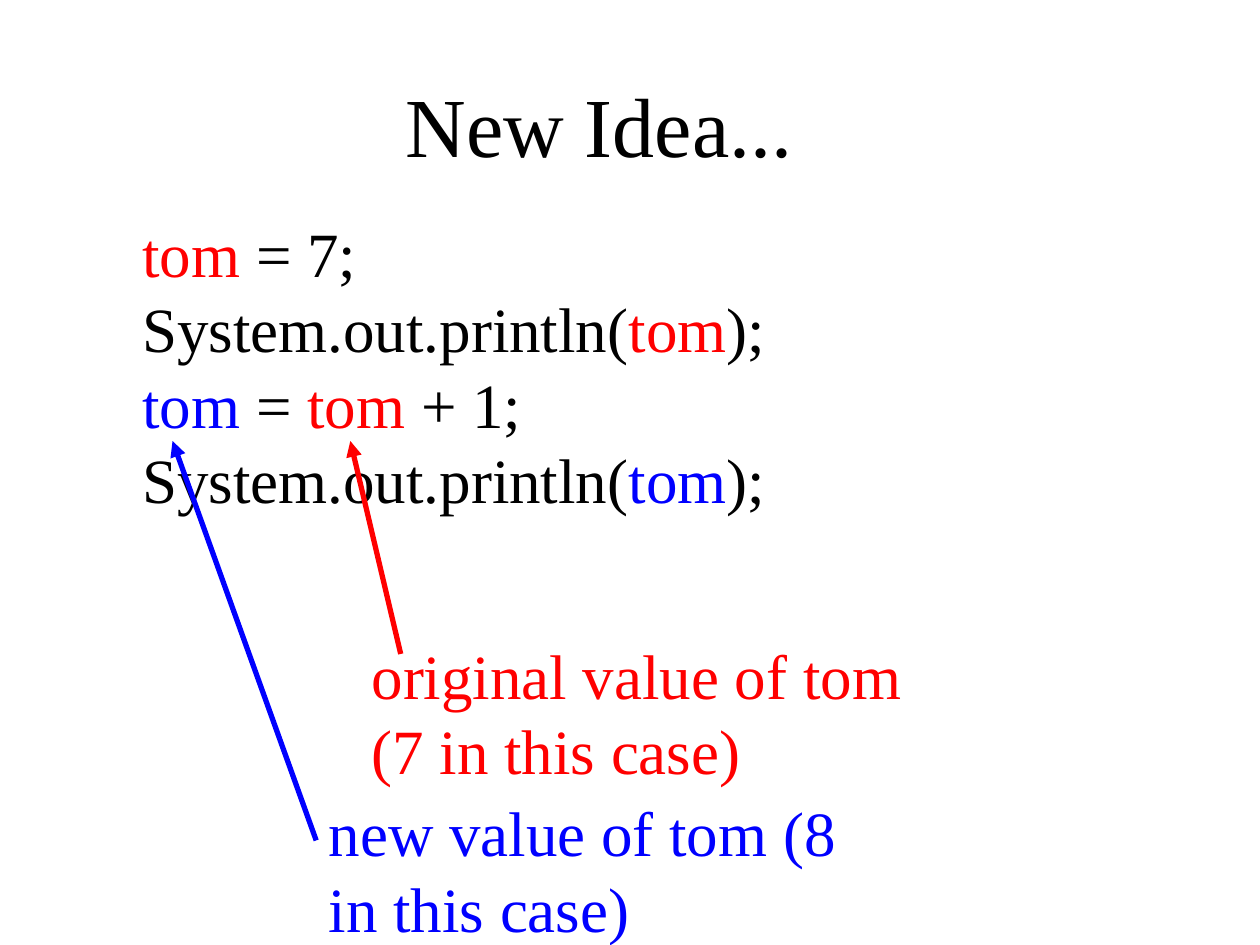
"""Build the slide on reassigning a variable from its own value."""
from dataclasses import dataclass

from lxml import etree
from pptx import Presentation
from pptx.dml.color import RGBColor
from pptx.enum.shapes import MSO_CONNECTOR
from pptx.oxml.ns import qn
from pptx.util import Pt

STRAIGHT = MSO_CONNECTOR.STRAIGHT
LEFT_SIDE = 1


@dataclass(frozen=True)
class Theme:
    font: str = "Times New Roman"
    ink: str = "000000"
    old: str = "FF0000"
    new: str = "0000FF"
    title_size: float = 48
    body_size: float = 36
    leading: float = 1.2
    inset: float = 7.2
    arrow_width: float = 3


class SlideBuilder:
    def __init__(self, slide, theme):
        self.slide = slide
        self.theme = theme

    def text(self, box, lines, size):
        block = self.slide.shapes.add_textbox(*map(Pt, box))
        frame = block.text_frame
        frame.word_wrap = True
        frame.margin_left = frame.margin_right = Pt(self.theme.inset)
        frame.margin_top = frame.margin_bottom = Pt(self.theme.inset)
        for index, line in enumerate(lines):
            paragraph = frame.add_paragraph() if index else frame.paragraphs[0]
            paragraph.font.name = self.theme.font
            paragraph.font.size = Pt(size)
            paragraph.line_spacing = Pt(size * self.theme.leading)
            for words, color in line:
                run = paragraph.add_run()
                run.text = words
                run.font.color.rgb = RGBColor.from_string(color)
        return block

    def arrow(self, start, end, color, source=None):
        arrow = self.slide.shapes.add_connector(STRAIGHT, *map(Pt, start + end))
        if source is not None:
            arrow.begin_connect(source, LEFT_SIDE)
        arrow.line.color.rgb = RGBColor.from_string(color)
        arrow.line.width = Pt(self.theme.arrow_width)
        etree.SubElement(arrow.line._get_or_add_ln(), qn("a:tailEnd"), type="triangle")
        etree.SubElement(arrow._element.spPr, qn("a:effectLst"))


def main():
    theme = Theme()
    ink, old, new = theme.ink, theme.old, theme.new
    deck = Presentation()
    deck.slide_width, deck.slide_height = Pt(720), Pt(540)
    builder = SlideBuilder(deck.slides.add_slide(deck.slide_layouts[6]), theme)

    def print_line(color):
        return [("System.out.println(", ink), ("tom", color), (");", ink)]

    code = [
        [("tom", old), (" = 7;", ink)],
        print_line(old),
        [("tom", new), (" = ", ink), ("tom", old), (" + 1;", ink)],
        print_line(new),
    ]
    builder.text((224.6, 34.6, 252, 67.7), [[("New Idea...", ink)]], theme.title_size)
    builder.text((74.2, 115.2, 577.4, 223.2), code, theme.body_size)

    builder.arrow((229, 373.7), (200.2, 252), old)
    builder.text((205.2, 356.4, 334.8, 67.7),
                 [[("original value of tom (7 in this case)", old)]], theme.body_size)
    new_value = builder.text((180.7, 446.4, 334.8, 67.7),
                             [[("new value of tom (8 in this case)", new)]], theme.body_size)
    builder.arrow((180.7, 480.2), (98.6, 252), new, new_value)

    deck.save("out.pptx")


if __name__ == "__main__":
    main()
